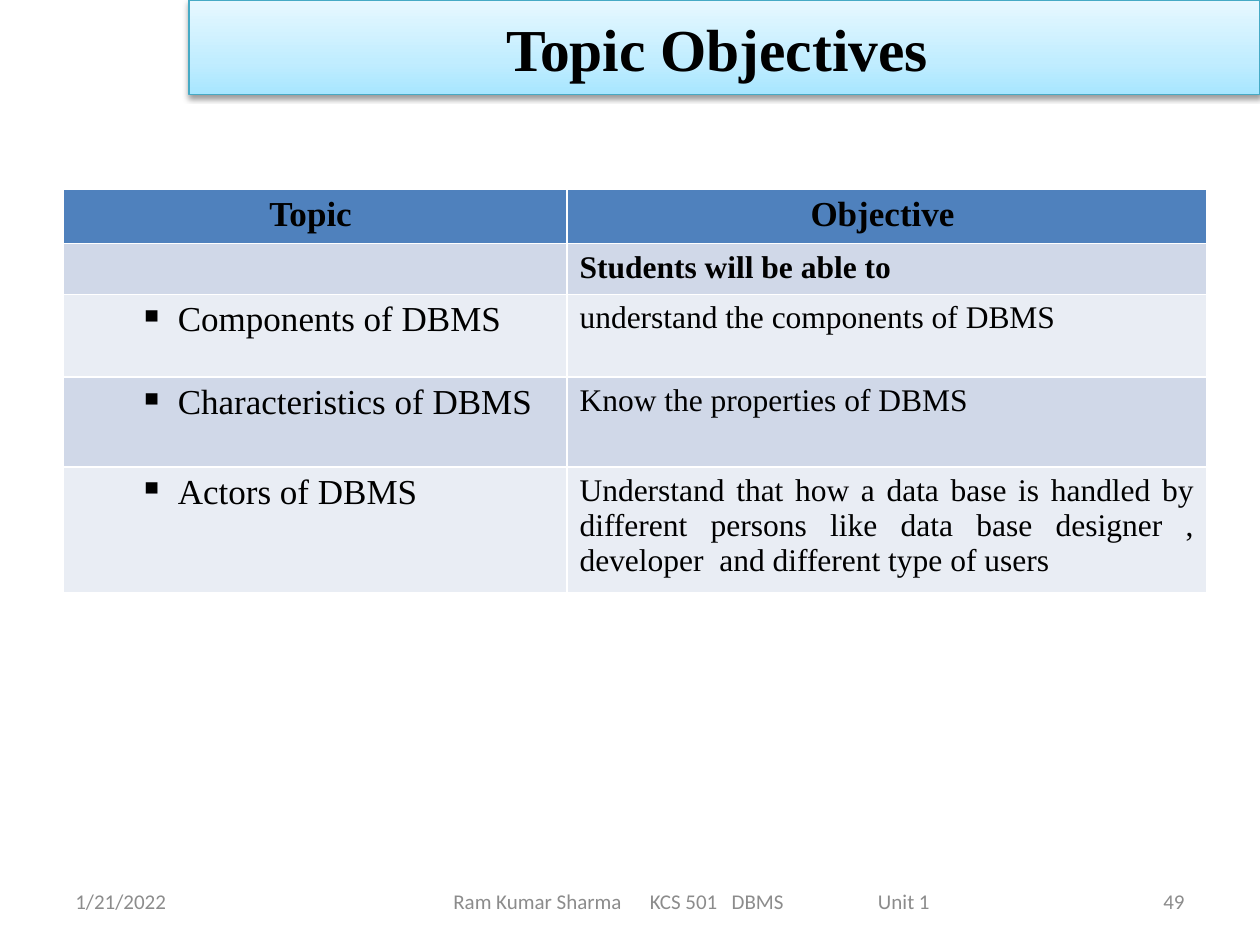
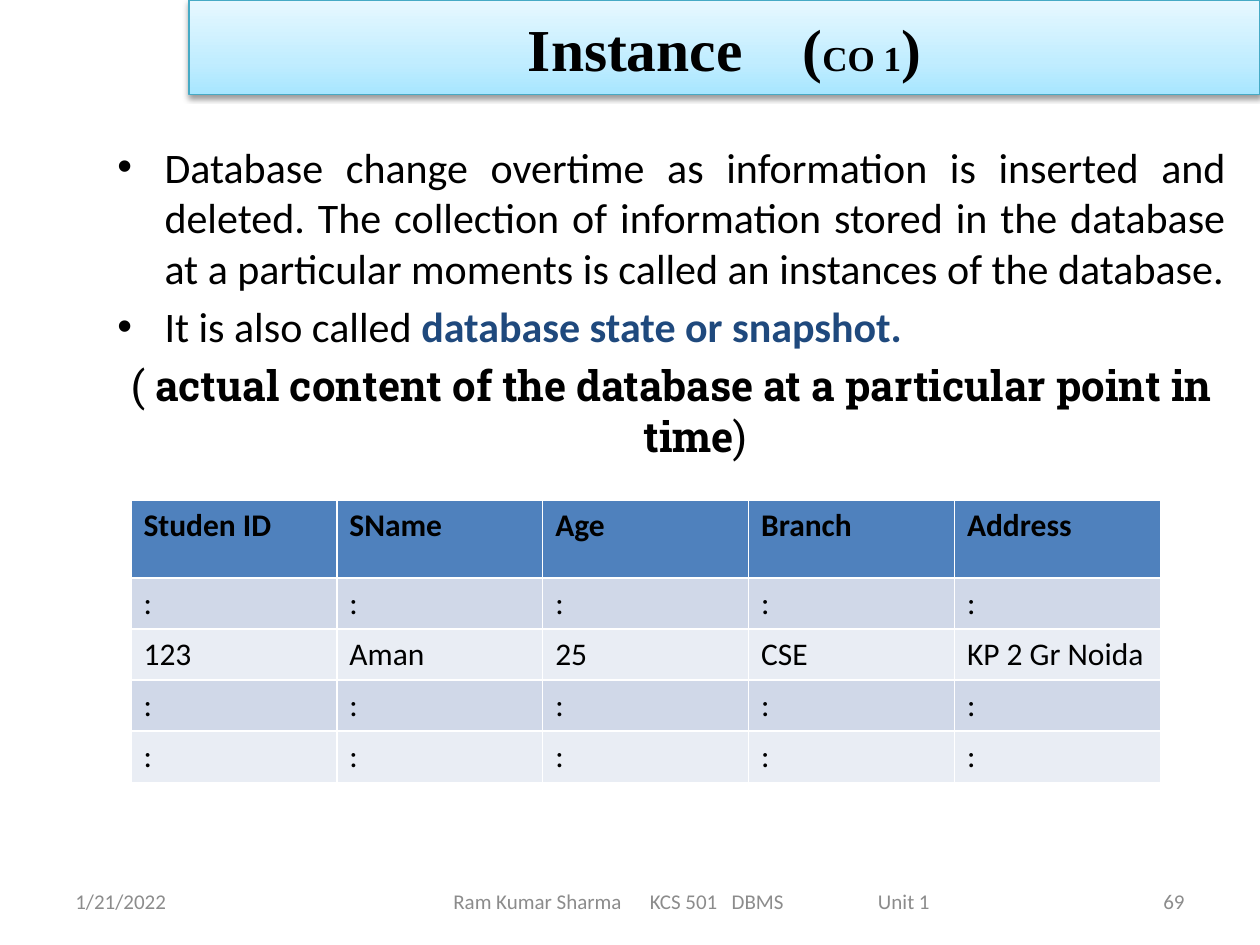
from lxml import etree
from pptx import Presentation
from pptx.dml.color import RGBColor
from pptx.enum.text import MSO_ANCHOR, MSO_AUTO_SIZE, PP_ALIGN
from pptx.oxml import parse_xml
from pptx.oxml.ns import nsdecls, qn
from pptx.util import Cm, Pt

LEFT, CENTER, RIGHT, JUSTIFY = PP_ALIGN.LEFT, PP_ALIGN.CENTER, PP_ALIGN.RIGHT, PP_ALIGN.JUSTIFY
MIDDLE = MSO_ANCHOR.MIDDLE
NO_AUTOFIT = MSO_AUTO_SIZE.NONE

COLOURS = {
    "text": "000000",
    "footer": "8C8C8C",
    "emphasis": "1F497D",
    "band line": "46AAC5",
    "table header": "4F81BD",
    "odd row": "D0D8E8",
    "even row": "E9EDF4",
}
SERIF, SANS, SLAB = "Times New Roman", "Calibri", "Roboto Slab"
TITLE = {"name": SERIF, "size": Pt(34), "bold": True}
FOOTER = {"name": SANS, "size": Pt(12)}
BODY = {"name": SANS, "size": Pt(24), "bold": False}

BAND_GRADIENT = f"""<a:gradFill {nsdecls("a")} rotWithShape="1"><a:gsLst>
<a:gs pos="0"><a:srgbClr val="A7E6FF"/></a:gs>
<a:gs pos="35000"><a:srgbClr val="C1EDFF"/></a:gs>
<a:gs pos="100000"><a:srgbClr val="E7F8FF"/></a:gs>
</a:gsLst><a:lin ang="16200000" scaled="1"/></a:gradFill>"""
BAND_SHADOW = f"""<a:effectLst {nsdecls("a")}>
<a:outerShdw blurRad="40000" dist="20000" dir="5400000" rotWithShape="0">
<a:srgbClr val="000000"><a:alpha val="38000"/></a:srgbClr></a:outerShdw></a:effectLst>"""


def add_run(paragraph, text, formats, colour="text"):
    run = paragraph.add_run()
    run.text = text
    for attribute, value in formats.items():
        setattr(run.font, attribute, value)
    run.font.color.rgb = RGBColor.from_string(COLOURS[colour])
    return run


def add_banded_table(slide, position, column_widths, row_heights, rows):
    """Add a table with a header row and alternating fills, without text."""
    table = slide.shapes.add_table(
        rows, len(column_widths), *position, sum(column_widths), sum(row_heights)
    ).table
    for column, width in zip(table.columns, column_widths):
        column.width = width
    for number, (row, height) in enumerate(zip(table.rows, row_heights)):
        row.height = height
        fill_name = "odd row" if number % 2 else "even row"
        for cell in row.cells:
            cell.fill.solid()
            cell.fill.fore_color.rgb = RGBColor.from_string(
                COLOURS[fill_name if number else "table header"])
    return table


presentation = Presentation()
presentation.slide_width, presentation.slide_height = Cm(25.4), Cm(19.05)
objectives_slide = presentation.slides.add_slide(presentation.slide_layouts[5])
instance_slide = presentation.slides.add_slide(presentation.slide_layouts[1])

# Title bands and footers
FOOTER_TABS = (Cm(3.96), Cm(5.61), Cm(8.56))
for slide, number in ((objectives_slide, "49"), (instance_slide, "69")):
    title = slide.shapes.title
    title.left, title.top, title.width, title.height = Cm(3.81), Cm(0), Cm(21.59), Cm(1.91)
    title.text_frame.auto_size = NO_AUTOFIT
    title.text_frame.vertical_anchor = MIDDLE
    title.text_frame.paragraphs[0].alignment = CENTER
    properties = title._element.spPr
    properties.append(parse_xml(BAND_GRADIENT))
    title.line.color.rgb = RGBColor.from_string(COLOURS["band line"])
    title.line.width = Pt(0.75)
    properties.append(parse_xml(BAND_SHADOW))

    for text, left, width, alignment in (
        ("1/21/2022", Cm(1.27), Cm(5.92), LEFT),
        ("Ram Kumar Sharma\tKCS 501\tDBMS\tUnit 1", Cm(8.89), Cm(12.07), LEFT),
        (number, Cm(18.21), Cm(5.92), RIGHT),
    ):
        frame = slide.shapes.add_textbox(left, Cm(17.65), width, Cm(1.02)).text_frame
        frame.word_wrap = True
        frame.vertical_anchor = MIDDLE
        paragraph = frame.paragraphs[0]
        paragraph.alignment = alignment
        if "\t" in text:
            tab_list = etree.SubElement(paragraph._p.get_or_add_pPr(), qn("a:tabLst"))
            for stop in FOOTER_TABS:
                etree.SubElement(tab_list, qn("a:tab"), pos=str(stop), algn="l")
        add_run(paragraph, text, FOOTER, "footer")

# Topic objectives
add_run(objectives_slide.shapes.title.text_frame.paragraphs[0], "Topic Objectives ", TITLE)

objectives = (
    ("Topic ", "Objective "),
    ("", "Students will be able to"),
    ("Components of DBMS", "understand the components of DBMS "),
    ("Characteristics of DBMS", "Know the properties of DBMS"),
    ("Actors of DBMS", "Understand that how a data base is handled by different persons like "
                       "data base designer , developer  and different type of users "),
)
objective_heights = [Cm(height) for height in (1.02, 1.02, 1.67, 1.81, 2.36)]
objective_table = add_banded_table(
    objectives_slide, (Cm(1.27), Cm(3.81)), [Cm(10.16), Cm(12.9)],
    objective_heights, len(objectives))
for row_number, texts in enumerate(objectives):
    for column_number, text in enumerate(texts):
        if not text:
            continue
        paragraph = objective_table.cell(row_number, column_number).text_frame.paragraphs[0]
        is_heading = row_number < 2
        is_topic = column_number == 0
        if row_number == 0:
            paragraph.alignment = CENTER
        elif is_topic:
            paragraph_properties = paragraph._p.get_or_add_pPr()
            paragraph_properties.set("marL", str(Cm(2.06)))
            paragraph_properties.set("indent", str(-Cm(0.79)))
            etree.SubElement(paragraph_properties, qn("a:buChar"), char="▪")
        elif not is_heading:
            paragraph.alignment = JUSTIFY
        size = Pt(20) if is_topic or row_number == 0 else Pt(18)
        add_run(paragraph, text, {"name": SERIF, "size": size, "bold": is_heading})

# Instance
title_paragraph = instance_slide.shapes.title.text_frame.paragraphs[0]
add_run(title_paragraph, "Instance", TITLE)
gap = add_run(title_paragraph, " ", TITLE)
gap._r.get_or_add_rPr().set("spc", "2580")
add_run(title_paragraph, "(", TITLE)
add_run(title_paragraph, "CO 1", TITLE | {"size": Pt(20)})
add_run(title_paragraph, ")", TITLE)

body = instance_slide.placeholders[1]
body.left, body.top, body.width, body.height = Cm(2.11), Cm(2.72), Cm(22.86), Cm(12.5)
body.text_frame.auto_size = NO_AUTOFIT
bold_body = BODY | {"bold": True}
slab_body = BODY | {"name": SLAB}
body_paragraphs = (
    (JUSTIFY, (("Database change overtime as information is inserted and deleted. The collection "
                "of information stored in the database at a particular moments is called an "
                "instances of the database.", BODY, "text"),)),
    (JUSTIFY, (("It is also called ", BODY, "text"),
               ("database state or snapshot.", bold_body, "emphasis"))),
    (CENTER, (("( ", slab_body, "text"),
              ("actual content of the database at a particular point in time",
               slab_body | {"bold": True}, "text"),
              (")", slab_body, "text"))),
)
for index, (alignment, runs) in enumerate(body_paragraphs):
    paragraph = body.text_frame.add_paragraph() if index else body.text_frame.paragraphs[0]
    paragraph.alignment = alignment
    paragraph.space_before = Pt(4.8 if index else 0)
    if alignment == CENTER:
        etree.SubElement(paragraph._p.get_or_add_pPr(), qn("a:buNone"))
    for text, formats, colour in runs:
        add_run(paragraph, text, formats, colour)

placeholder_row = (":",) * 5
students = (
    ("Studen ID", "SName", "Age", "Branch", "Address"),
    placeholder_row,
    ("123", "Aman", "25", "CSE", "KP 2 Gr Noida"),
    placeholder_row,
    placeholder_row,
)
student_table = add_banded_table(
    instance_slide, (Cm(2.64), Cm(10.08)), [Cm(4.15)] * 5,
    [Cm(1.57)] + [Cm(1.03)] * 4, len(students))
for row_number, texts in enumerate(students):
    for column_number, text in enumerate(texts):
        paragraph = student_table.cell(row_number, column_number).text_frame.paragraphs[0]
        add_run(paragraph, text, {"name": SANS, "size": Pt(18), "bold": row_number == 0})

presentation.save("out.pptx")
